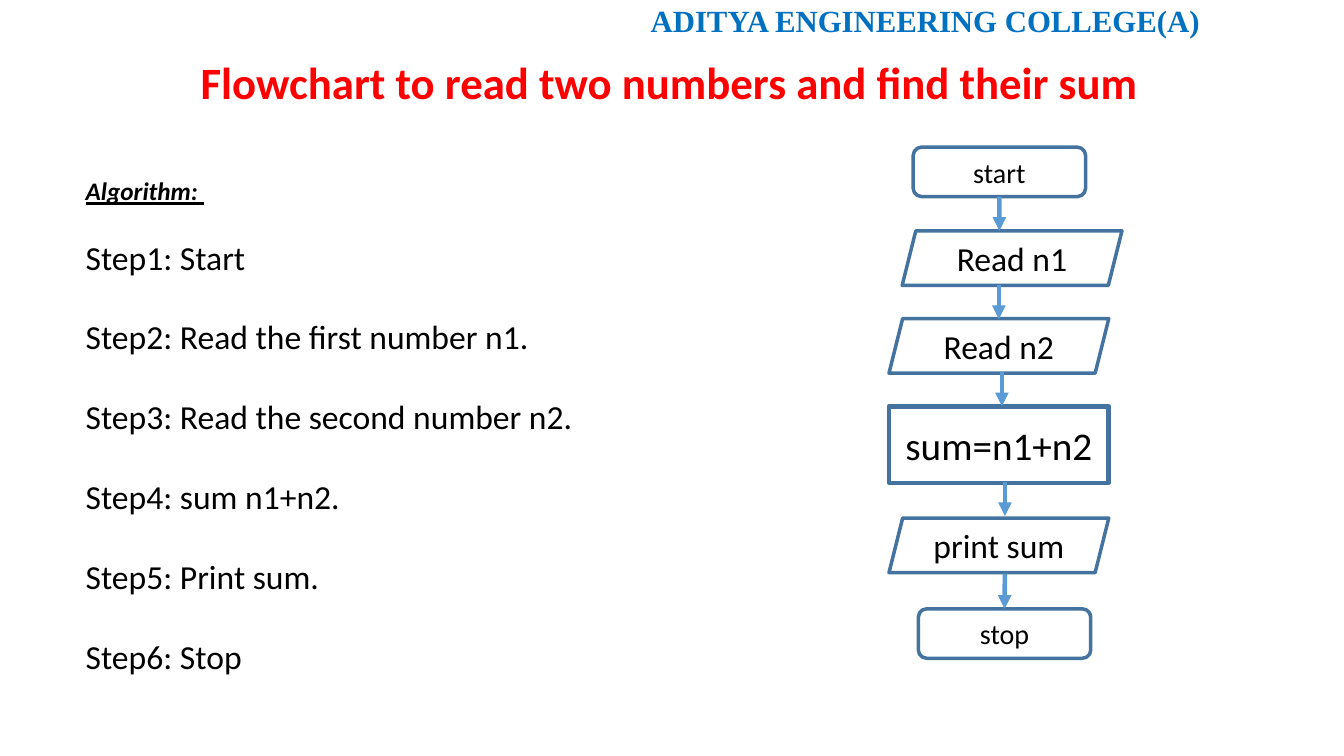
from dataclasses import dataclass
from typing import Optional

from lxml.etree import SubElement
from pptx import Presentation
from pptx.dml.color import RGBColor
from pptx.enum.shapes import MSO_CONNECTOR, MSO_SHAPE
from pptx.enum.text import MSO_ANCHOR, MSO_AUTO_SIZE, PP_ALIGN
from pptx.oxml.ns import qn
from pptx.shapes.autoshape import Shape
from pptx.shapes.connector import Connector
from pptx.slide import Slide
from pptx.text.text import TextFrame, _Paragraph
from pptx.util import Pt

BLACK = "000000"
EDGE = "43739E"
FLOW = "5B9BD5"


@dataclass
class Node:
    text: str
    kind: MSO_SHAPE
    left: float
    top: float
    width: float
    height: float
    size: float
    line: float = 2.5


@dataclass
class Arrow:
    x: float
    top: float
    end: float
    source: Optional[str] = None
    target: Optional[str] = None


@dataclass
class Line:
    text: str
    size: float
    gap: float
    head: bool = False


NODES = [
    Node("start", MSO_SHAPE.ROUNDED_RECTANGLE, 652.3, 105.1, 123.1, 35.3, 20),
    Node("Read n1", MSO_SHAPE.PARALLELOGRAM, 644.4, 164.9, 157, 39, 24),
    Node("Read n2", MSO_SHAPE.PARALLELOGRAM, 635, 227.6, 157, 39, 24),
    Node("sum=n1+n2", MSO_SHAPE.RECTANGLE, 635, 290.2, 157, 54.7, 28, 3.25),
    Node("print sum", MSO_SHAPE.PARALLELOGRAM, 635, 370.1, 157, 39, 24),
    Node("stop", MSO_SHAPE.ROUNDED_RECTANGLE, 656, 434.9, 123.1, 35.3, 20),
]

ARROWS = [
    Arrow(713.9, 140.4, 164.9, source="start"),
    Arrow(713.5, 203.8, 228),
    Arrow(715.7, 265.7, 290.2),
    Arrow(717.8, 344.2, 368.6),
    Arrow(717.8, 409.7, 434.2, target="stop"),
]

STEPS = [
    "Start",
    "Read the first number n1.",
    "Read the second number n2.",
    "sum n1+n2.",
    "Print sum.",
    "Stop",
]


def hue(code: str) -> RGBColor:
    return RGBColor.from_string(code)


def place(box: Shape, left: float, top: float, width: float, height: float) -> None:
    box.left, box.top = Pt(left), Pt(top)
    box.width, box.height = Pt(width), Pt(height)


def setup(frame: TextFrame, anchor: MSO_ANCHOR) -> None:
    frame.word_wrap = True
    frame.auto_size = MSO_AUTO_SIZE.NONE
    frame.vertical_anchor = anchor


def write(para: _Paragraph, text: str, size: float, code: str = BLACK,
          bold: bool = False, name: str = "Calibri", head: bool = False) -> None:
    run = para.add_run()
    run.text = text
    font = run.font
    font.name, font.size, font.bold = name, Pt(size), bold
    font.italic = font.underline = head
    font.color.rgb = hue(code)


def banner(slide: Slide) -> None:
    box = slide.shapes.add_textbox(Pt(347.8), Pt(-2.2), Pt(516.2), Pt(33.8))
    setup(box.text_frame, MSO_ANCHOR.TOP)
    para = box.text_frame.paragraphs[0]
    para.alignment = PP_ALIGN.RIGHT
    write(para, "ADITYA ENGINEERING COLLEGE(A)", 22, "0070C0", True, "Times New Roman")


def title(slide: Slide) -> None:
    box = slide.shapes.title
    place(box, 136.1, 35.3, 714.2, 46.1)
    setup(box.text_frame, MSO_ANCHOR.TOP)
    para = box.text_frame.paragraphs[0]
    para.alignment = PP_ALIGN.LEFT
    write(para, "Flowchart to read two numbers and find their sum", 32, "FF0000", True)


def listing(slide: Slide) -> None:
    lines = [Line("Algorithm: ", 18, 0, True)]
    for num, step in enumerate(STEPS, 1):
        lines.append(Line(f"Step{num}: {step}", 24, 22 if num == 1 else 28.3))
    box = slide.placeholders[1]
    place(box, 54, 121.7, 386.6, 370.8)
    frame = box.text_frame
    setup(frame, MSO_ANCHOR.TOP)
    for num, line in enumerate(lines):
        para = frame.add_paragraph() if num else frame.paragraphs[0]
        para.alignment = PP_ALIGN.LEFT
        para.line_spacing = 1.0
        para.space_before, para.space_after = Pt(line.gap), Pt(0)
        props = para._p.get_or_add_pPr()
        props.set("marL", "0")
        props.set("indent", "0")
        SubElement(props, qn("a:buNone"))
        write(para, line.text, line.size, bold=line.head, head=line.head)


def draw(slide: Slide, node: Node) -> Shape:
    shape = slide.shapes.add_shape(node.kind, Pt(node.left), Pt(node.top),
                                   Pt(node.width), Pt(node.height))
    shape.shadow.inherit = False
    shape.fill.background()
    shape.line.color.rgb = hue(EDGE)
    shape.line.width = Pt(node.line)
    setup(shape.text_frame, MSO_ANCHOR.MIDDLE)
    para = shape.text_frame.paragraphs[0]
    para.alignment = PP_ALIGN.CENTER
    write(para, node.text, node.size)
    return shape


def link(slide: Slide, arrow: Arrow, boxes: dict[str, Shape]) -> Connector:
    line = slide.shapes.add_connector(MSO_CONNECTOR.STRAIGHT, Pt(arrow.x), Pt(arrow.top),
                                      Pt(arrow.x), Pt(arrow.end))
    if arrow.source:
        line.begin_connect(boxes[arrow.source], 2)
    if arrow.target:
        line.end_connect(boxes[arrow.target], 0)
    line.line.color.rgb = hue(FLOW)
    line.line.width = Pt(3.25)
    SubElement(line.line._get_or_add_ln(), qn("a:tailEnd"), type="triangle")
    SubElement(line._element.spPr, qn("a:effectLst"))
    return line


def main() -> None:
    deck = Presentation()
    deck.slide_width, deck.slide_height = Pt(960), Pt(540)
    slide = deck.slides.add_slide(deck.slide_layouts[1])
    banner(slide)
    title(slide)
    listing(slide)
    boxes = {node.text: draw(slide, node) for node in NODES}
    for arrow in ARROWS:
        link(slide, arrow, boxes)
    deck.save("out.pptx")


if __name__ == "__main__":
    main()
